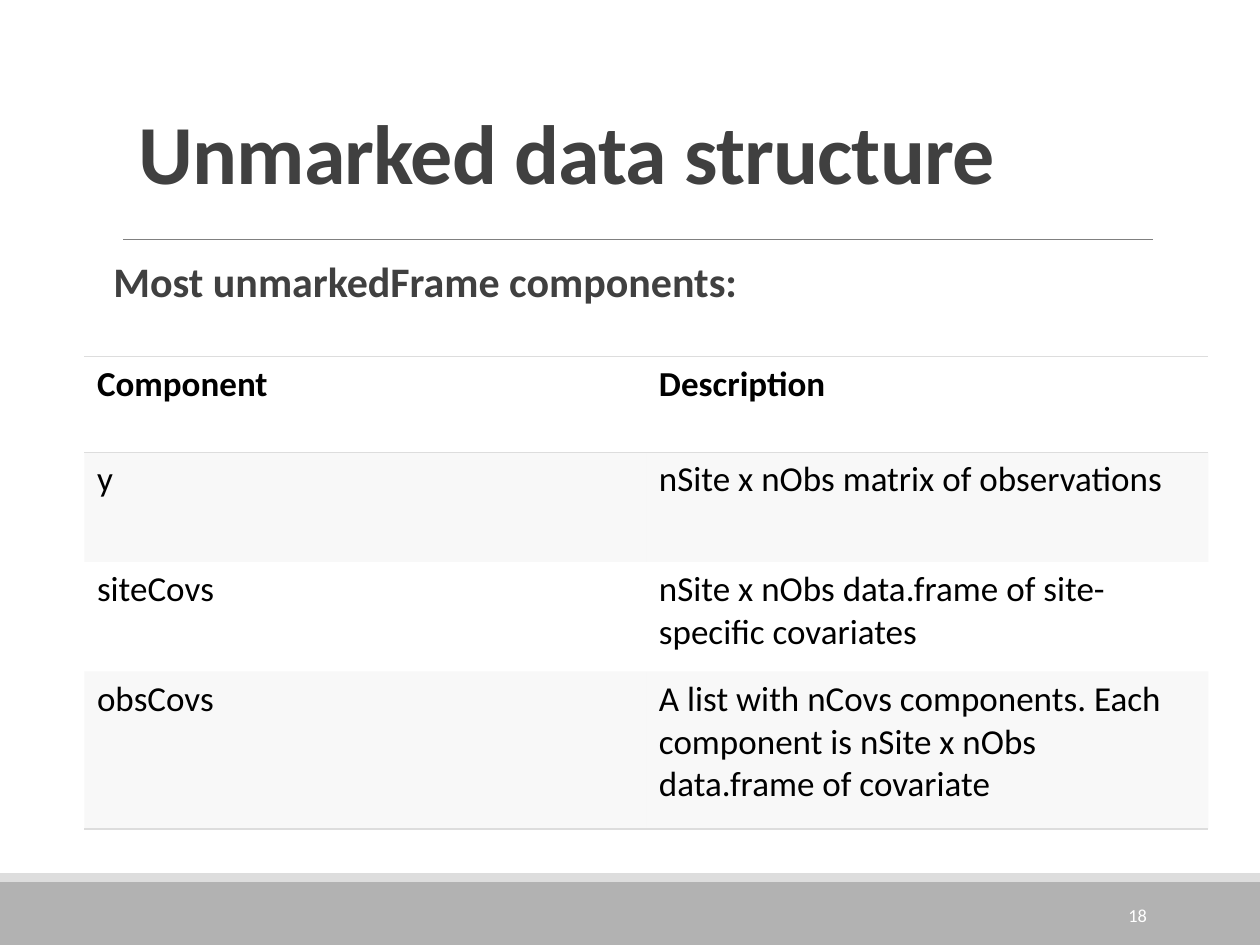
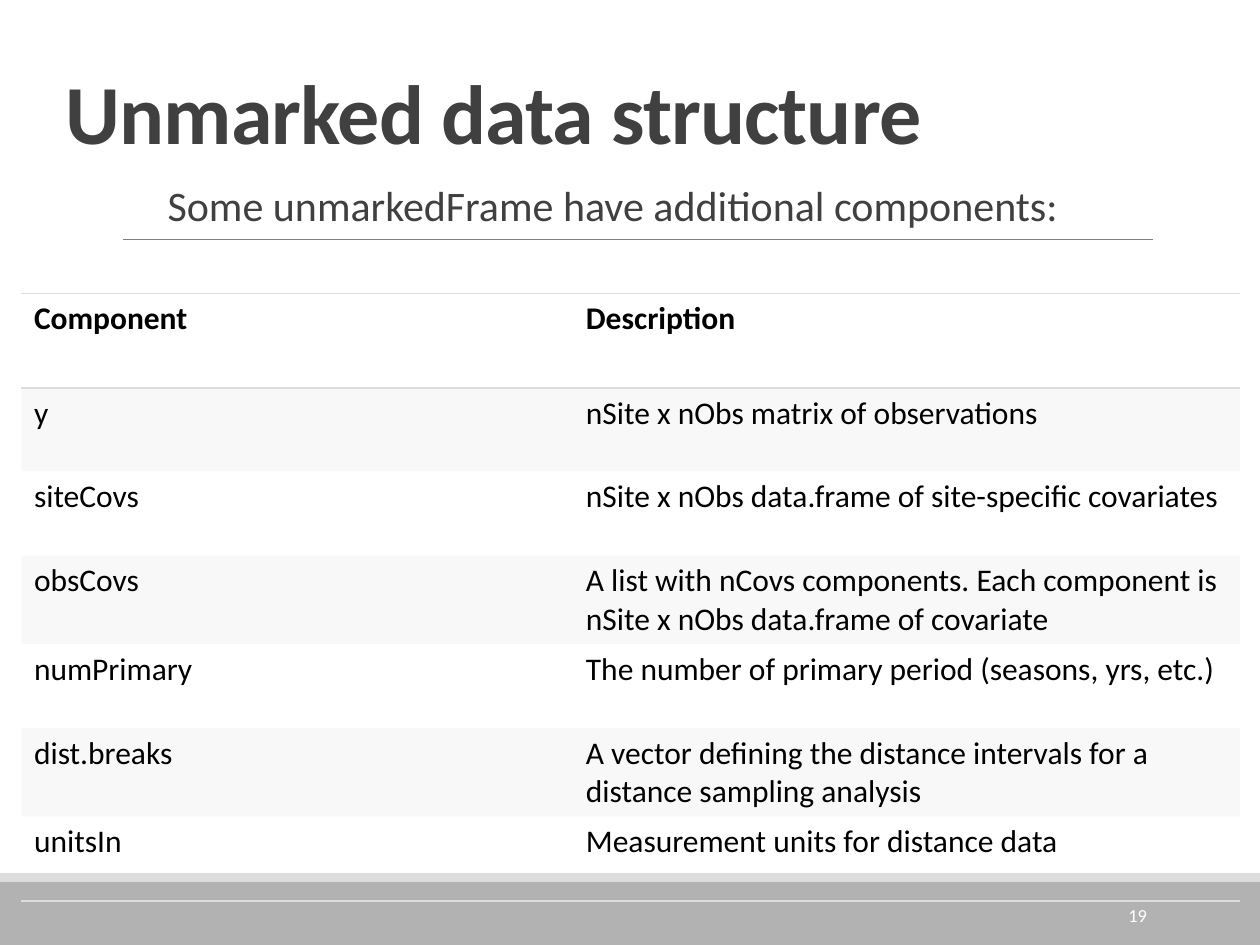
import pptx
import pptx.util
import pptx.dml.color
import pptx.enum.shapes
import pptx.enum.text
import pptx.oxml
import pptx.oxml.ns

Inches = pptx.util.Inches
Pt = pptx.util.Pt
ANCHOR = pptx.enum.text.MSO_ANCHOR
ALIGN = pptx.enum.text.PP_ALIGN

COLORS = {"text": "404040", "cell": "000000", "white": "FFFFFF",
          "band": "B2B2B2", "accent": "DDDDDD", "rule": "808080"}
FONT = "Calibri"
NO_STYLE = "{2D5ABB26-0587-4C30-8999-92F81FD0307C}"

TITLE = {"size": 48, "bold": True, "color": "text",
         "para": {"line_spacing": 0.85, "alignment": ALIGN.LEFT}}
BODY = {"size": 24, "color": "text",
        "para": {"line_spacing": 0.9, "space_before": Pt(12), "space_after": Pt(2)}}
NUMBER = {"size": 10.5, "color": "white", "para": {"alignment": ALIGN.RIGHT}}

ROWS = [
    ("Component", "Description"),
    ("y", "nSite x nObs matrix of observations"),
    ("siteCovs", "nSite x nObs data.frame of site-specific covariates"),
    ("obsCovs", "A list with nCovs components. Each component is nSite x nObs "
                "data.frame of covariate"),
]
EXTRA_ROWS = [
    ("numPrimary", "The number of primary period (seasons, yrs, etc.)"),
    ("dist.breaks", "A vector defining the distance intervals for a distance "
                    "sampling analysis"),
    ("unitsIn", "Measurement units for distance data"),
]


def rgb(name):
    return pptx.dml.color.RGBColor.from_string(COLORS[name])


def xml(tag, content=""):
    return pptx.oxml.parse_xml(
        f"<a:{tag} {pptx.oxml.ns.nsdecls('a')}>{content}</a:{tag.split()[0]}>")


def apply(target, values):
    for name, value in values.items():
        setattr(target, name, value)


def write(tf, text, size, color, bold=False, para=None):
    p = tf.paragraphs[0]
    apply(p, para or {})
    r = p.add_run()
    r.text = text
    apply(r.font, {"name": FONT, "size": Pt(size), "bold": bold})
    r.font.color.rgb = rgb(color)
    return p, r


def place(sp, box):
    apply(sp, dict(zip(("left", "top", "width", "height"), map(Inches, box))))


def add_band(slide, top, height, color):
    sp = slide.shapes.add_shape(pptx.enum.shapes.MSO_SHAPE.RECTANGLE,
                                0, Inches(top), Inches(10), Inches(height))
    sp.shadow.inherit = False
    sp.fill.solid()
    sp.fill.fore_color.rgb = rgb(color)
    sp.line.fill.background()


def add_frame(slide, number):
    add_band(slide, 7, 0.5, "band")
    add_band(slide, 6.93, 0.07, "accent")
    line = slide.shapes.add_connector(pptx.enum.shapes.MSO_CONNECTOR.STRAIGHT,
                                      Inches(0.98), Inches(1.9), Inches(9.15), Inches(1.9))
    line.line.color.rgb = rgb("rule")
    line.line.width = Pt(0.5)
    line._element.spPr.append(xml("effectLst"))
    tf = slide.shapes.add_textbox(*map(Inches, (8.12, 7.06, 1.08, 0.4))).text_frame
    apply(tf, {"word_wrap": True, "vertical_anchor": ANCHOR.MIDDLE})
    write(tf, str(number), **NUMBER)


def set_title(slide, text, box):
    sp = slide.shapes.title
    place(sp, box)
    apply(sp.text_frame, {"vertical_anchor": ANCHOR.BOTTOM, "word_wrap": True,
                          "auto_size": pptx.enum.text.MSO_AUTO_SIZE.NONE})
    p, r = write(sp.text_frame, text, **TITLE)
    r.font._element.set("spc", "-50")


def set_body(slide, text, box, bold):
    sp = slide.placeholders[1]
    place(sp, box)
    apply(sp.text_frame, {"margin_left": 0, "margin_right": 0, "word_wrap": True,
                          "auto_size": pptx.enum.text.MSO_AUTO_SIZE.NONE})
    p, r = write(sp.text_frame, text, bold=bold, **BODY)
    pPr = p._p.get_or_add_pPr()
    pPr.set("marL", "0")
    pPr.set("indent", "0")
    pPr.append(xml("buNone"))


def fill_cell(cell, shaded):
    if not shaded:
        cell.fill.background()
        return
    cell.fill.solid()
    cell.fill.fore_color.rgb = rgb("accent")
    color = cell._tc.tcPr.find(".//" + pptx.oxml.ns.qn("a:srgbClr"))
    color.append(xml('alpha val="20000"'))


def add_border(cell, side):
    fill = f'<a:solidFill><a:srgbClr val="{COLORS["accent"]}"/></a:solidFill>'
    cell._tc.tcPr.insert(0, xml(f'ln{side} w="{Pt(1)}"', fill))


def add_table(slide, rows, box, widths, heights, size):
    table = slide.shapes.add_table(len(rows), len(widths), *map(Inches, box)).table
    apply(table, {"first_row": False, "horz_banding": False})
    table._tbl.tblPr[0].text = NO_STYLE
    for column, width in zip(table.columns, widths):
        column.width = Inches(width)
    for i, (row, height) in enumerate(zip(rows, heights)):
        table.rows[i].height = Inches(height)
        for j, text in enumerate(row):
            cell = table.cell(i, j)
            write(cell.text_frame, text, size, "cell", bold=i == 0)
            fill_cell(cell, shaded=i % 2 == 1)
            if i in (0, len(rows) - 1):
                add_border(cell, "B")
            if i == 0:
                add_border(cell, "T")


def add_slide(prs, number, title_box, body, body_box, body_bold, table):
    slide = prs.slides.add_slide(prs.slide_layouts[1])
    set_title(slide, "Unmarked data structure", title_box)
    set_body(slide, body, body_box, body_bold)
    add_frame(slide, number)
    add_table(slide, **table)


def main():
    prs = pptx.Presentation()
    prs.slide_width, prs.slide_height = Inches(10), Inches(7.5)
    add_slide(prs, 18, (1, 0.58, 7.35, 1.07),
              "Most unmarkedFrame components:", (0.9, 2.02, 8.25, 4.4), True,
              {"rows": ROWS, "box": (0.67, 2.83, 8.92, 3.75), "size": 20,
               "widths": [4.46] * 2, "heights": [0.76, 0.87, 0.87, 1.25]})
    add_slide(prs, 19, (0.42, 0.08, 9, 1.25),
              "Some unmarkedFrame have additional components:",
              (1.33, 1.42, 9.92, 0.92), False,
              {"rows": ROWS + EXTRA_ROWS, "box": (0.17, 2.33, 9.67, 4.83), "size": 18,
               "widths": [4.38, 5.29], "heights": [0.75, 0.66] + [0.67] * 5})
    prs.save("out.pptx")


if __name__ == "__main__":
    main()
